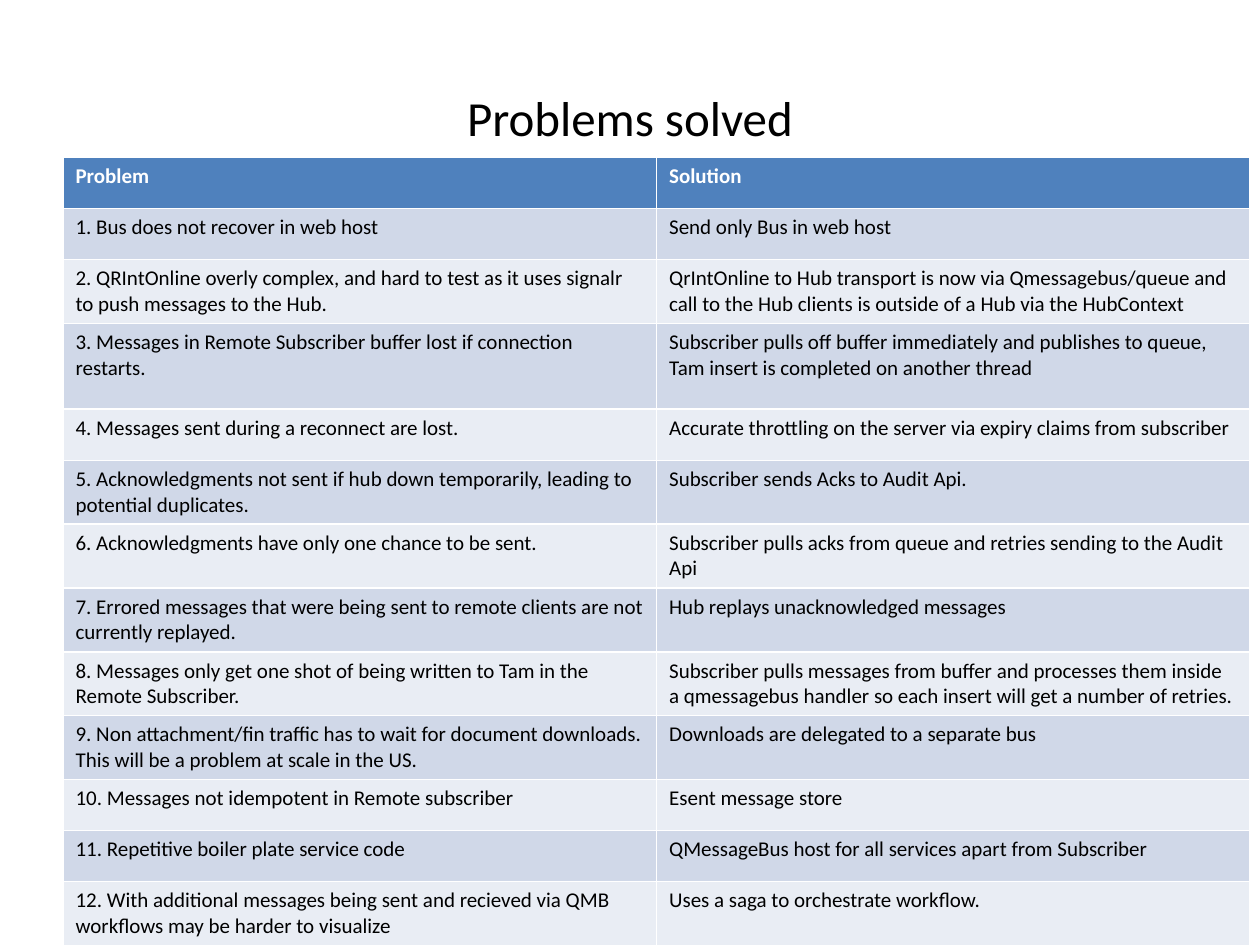
"""Build the "Problems solved" slide with its table of problems and solutions."""
import pptx
import pptx.dml.color
import pptx.enum.text
import pptx.util

Pt = pptx.util.Pt
RGBColor = pptx.dml.color.RGBColor

TITLE = "Problems solved"
HEADER = ("Problem", "Solution")
ANSWERS = [
    ("Bus does not recover in web host", "Send only Bus in web host"),
    ("QRIntOnline overly complex, and hard to test as it uses signalr to push messages to the Hub.",
     "QrIntOnline to Hub transport is now via Qmessagebus/queue and call to the Hub clients "
     "is outside of a Hub via the HubContext"),
    ("Messages in Remote Subscriber buffer lost if connection restarts.",
     "Subscriber pulls off buffer immediately and publishes to queue, "
     "Tam insert is completed on another thread"),
    ("Messages sent during a reconnect are lost.",
     "Accurate throttling on the server via expiry claims from subscriber"),
    ("Acknowledgments not sent if hub down temporarily, leading to potential duplicates.",
     "Subscriber sends Acks to Audit Api."),
    ("Acknowledgments have only one chance to be sent.",
     "Subscriber pulls acks from queue and retries sending to the Audit Api"),
    ("Errored messages that were being sent to remote clients are not currently replayed.",
     "Hub replays unacknowledged messages"),
    ("Messages only get one shot of being written to Tam in the Remote Subscriber.",
     "Subscriber pulls messages from buffer and processes them inside a qmessagebus handler "
     "so each insert will get a number of retries."),
    ("Non attachment/fin traffic has to wait for document downloads. "
     "This will be a problem at scale in the US.",
     "Downloads are delegated to a separate bus"),
    ("Messages not idempotent in Remote subscriber", "Esent message store"),
    ("Repetitive boiler plate service code",
     "QMessageBus host for all services apart from Subscriber"),
    ("With additional messages being sent and recieved via QMB workflows may be harder to visualize",
     "Uses a saga to orchestrate workflow."),
]

FONT = "Calibri"
BLACK = RGBColor(0x00, 0x00, 0x00)
WHITE = RGBColor(0xFF, 0xFF, 0xFF)
HEADER_BLUE = RGBColor(0x4F, 0x81, 0xBD)
BANDS = (RGBColor(0xE9, 0xED, 0xF4), RGBColor(0xD0, 0xD8, 0xE8))

LEFT = 36
COLUMN_WIDTH = 339.2
ROW_HEIGHT = 29.2
TALL_ROW, TALL_HEIGHT = 3, 48.96


def write(paragraph, text, size, color, bold=False):
    run = paragraph.add_run()
    run.text = text
    run.font.name = FONT
    run.font.size = Pt(size)
    run.font.bold = bold
    run.font.color.rgb = color


presentation = pptx.Presentation()
presentation.slide_width, presentation.slide_height = Pt(720), Pt(540)
slide = presentation.slides.add_slide(presentation.slide_layouts[5])

title = slide.shapes.title
title.left, title.top, title.width, title.height = Pt(LEFT), Pt(21.6), Pt(648), Pt(90)
title.text_frame.vertical_anchor = pptx.enum.text.MSO_ANCHOR.MIDDLE
title_paragraph = title.text_frame.paragraphs[0]
title_paragraph.alignment = pptx.enum.text.PP_ALIGN.CENTER
write(title_paragraph, TITLE, 28, BLACK)

rows = [HEADER] + [(f"{number}. {problem}", solution)
                   for number, (problem, solution) in enumerate(ANSWERS, 1)]
heights = [TALL_HEIGHT if index == TALL_ROW else ROW_HEIGHT for index in range(len(rows))]
table = slide.shapes.add_table(
    len(rows), len(HEADER), Pt(LEFT), Pt(90),
    Pt(COLUMN_WIDTH * len(HEADER)), Pt(sum(heights))).table

for column in table.columns:
    column.width = Pt(COLUMN_WIDTH)
for index, texts in enumerate(rows):
    is_header = index == 0
    table.rows[index].height = Pt(heights[index])
    for cell, text in zip(table.rows[index].cells, texts):
        cell.fill.solid()
        cell.fill.fore_color.rgb = HEADER_BLUE if is_header else BANDS[index % 2]
        write(cell.text_frame.paragraphs[0], text, 12, WHITE if is_header else BLACK, is_header)

presentation.save("out.pptx")
